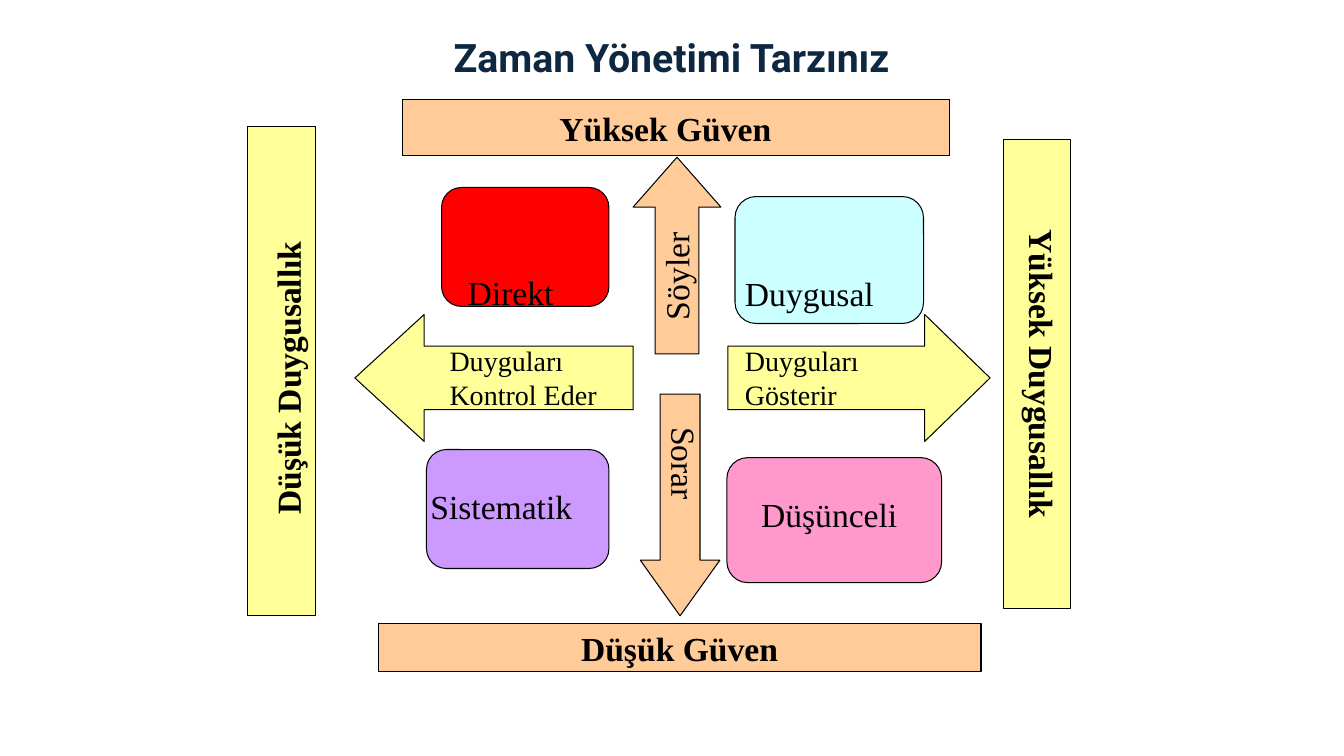
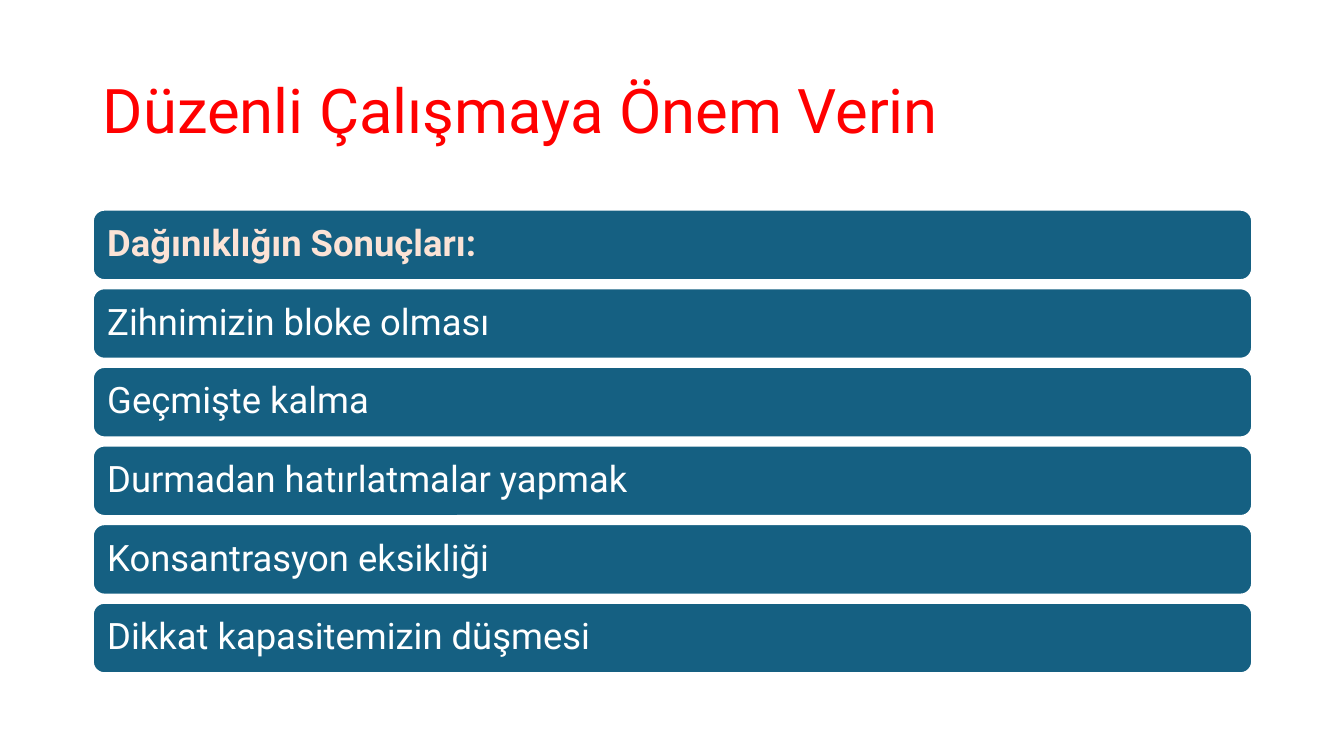
from pptx import Presentation, util as u
from pptx.dml.color import RGBColor
from pptx.enum import shapes, text

COLORS = {
    "navy": "0E2841", "red": "FF0000", "black": "000000", "white": "FFFFFF",
    "yellow": "FFFF99", "orange": "FFCC99", "aqua": "CCFFFF",
    "purple": "CC99FF", "pink": "FF99CC", "teal": "156082", "cream": "FBE3D6",
}
SANS, SERIF = "Roboto", "Times New Roman"
SHAPE, ALIGN, ANCHOR = shapes.MSO_SHAPE, text.PP_ALIGN, text.MSO_ANCHOR
INSETS = (0.1, 0.05, 0.1, 0.05)

ARROWS = [
    (SHAPE.LEFT_ARROW, (3.52, 3.12, 2.76, 1.26), "yellow", 0.546),
    (SHAPE.RIGHT_ARROW, (7.22, 3.12, 2.6, 1.26), "yellow", 0.515),
    (SHAPE.UP_ARROW, (6.28, 1.56, 0.87, 1.95), "orange", 0.568),
    (SHAPE.DOWN_ARROW, (6.35, 3.91, 0.79, 2.2), "orange", 0.699),
]
BARS = [
    ("Yüksek Güven", (3.99, 0.99, 5.43, 0.55), 0, "orange", (0.1, 0.05, 0.31, 0.05)),
    ("Düşük Güven", (3.75, 6.19, 5.98, 0.47), 0, "orange", INSETS),
    ("Düşük Duygusallık", (0.36, 3.34, 4.86, 0.68), 270, "yellow", (0.1, 0.17, 0.24, 0.05)),
    ("Yüksek Duygusallık", (7.96, 3.38, 4.65, 0.66), 90, "yellow", (0.1, 0.05, 0.1, 0.16)),
]
STYLES = [
    ((4.38, 1.86, 1.66, 1.18), "red"),
    ((7.29, 1.95, 1.87, 1.26), "aqua"),
    ((4.23, 4.46, 1.81, 1.18), "purple"),
    ((7.21, 4.54, 2.13, 1.24), "pink"),
]
LABELS = [
    ("Duyguları\vKontrol Eder", (4.36, 3.36, 1.81, 0.77), 0, 20),
    ("Duyguları\vGösterir", (7.29, 3.36, 1.81, 0.77), 0, 20),
    ("Söyler", (6.01, 2.32, 1.4, 0.51), 270, 24),
    ("Sorar", (6.24, 4.44, 1.1, 0.5), 90, 24),
    ("Direkt", (4.54, 2.65, 1.35, 0.51), 0, 24),
    ("Duygusal", (7.29, 2.66, 1.63, 0.51), 0, 24),
    ("Düşünceli", (7.45, 4.85, 1.74, 0.51), 0, 24),
    ("Sistematik", (4.17, 4.77, 1.88, 0.51), 0, 24),
]
RESULTS = [
    "Dağınıklığın Sonuçları:",
    "Zihnimizin bloke olması",
    "Geçmişte kalma",
    "Durmadan hatırlatmalar yapmak",
    "Konsantrasyon eksikliği",
    "Dikkat kapasitemizin düşmesi",
]


def rgb(name):
    return RGBColor.from_string(COLORS[name])


def box(at):
    return [u.Inches(v) for v in at]


def write(sp, words, font, size, color="black", bold=False, align=ALIGN.LEFT,
          anchor=ANCHOR.MIDDLE, insets=INSETS, spacing=1.0):
    tf = sp.text_frame
    tf.word_wrap = True
    tf.vertical_anchor = anchor
    tf.margin_left, tf.margin_top, tf.margin_right, tf.margin_bottom = box(insets)
    p = tf.paragraphs[0]
    p.alignment, p.line_spacing = align, spacing
    for i, line in enumerate(words.split("\v")):
        if i:
            p.add_line_break()
        r = p.add_run()
        r.text = line
        r.font.name, r.font.size, r.font.bold = font, u.Pt(size), bold
        r.font.color.rgb = rgb(color)


def add_shape(s, kind, at, fill, line="black", width=0.75):
    sp = s.shapes.add_shape(kind, *box(at))
    sp.shadow.inherit = False
    sp.fill.solid()
    sp.fill.fore_color.rgb = rgb(fill)
    sp.line.color.rgb = rgb(line)
    sp.line.width = u.Pt(width)
    return sp


def add_slide(prs, title, at, size, color, bold=False, align=ALIGN.LEFT):
    s = prs.slides.add_slide(prs.slide_layouts[5])
    sp = s.shapes.title
    sp.left, sp.top, sp.width, sp.height = box(at)
    write(sp, title, SANS, size, color, bold, align, spacing=0.9)
    return s


def time_style_slide(prs):
    s = add_slide(prs, "Zaman Yönetimi Tarzınız", (3.24, 0.25, 6.84, 0.69),
                  28, "navy", True, ALIGN.CENTER)
    for kind, at, fill, head in ARROWS:
        sp = add_shape(s, kind, at, fill)
        sp.adjustments[0], sp.adjustments[1] = 0.5, head
    for words, at, turn, fill, insets in BARS:
        sp = add_shape(s, SHAPE.RECTANGLE, at, fill)
        sp.rotation = turn
        write(sp, words, SERIF, 24, bold=True, align=ALIGN.CENTER, insets=insets)
    for at, fill in STYLES:
        add_shape(s, SHAPE.ROUNDED_RECTANGLE, at, fill)
    for words, at, turn, size in LABELS:
        sp = s.shapes.add_textbox(*box(at))
        sp.rotation = turn
        write(sp, words, SERIF, size, anchor=ANCHOR.TOP)


def results_slide(prs):
    s = add_slide(prs, "Düzenli Çalışmaya Önem Verin", (0.92, 0.4, 11.5, 1.45), 44, "red")
    top, height, gap = 2.08, 0.7, 0.08
    for i, words in enumerate(RESULTS):
        at = (0.92, top + i * (height + gap), 11.5, height)
        sp = add_shape(s, SHAPE.ROUNDED_RECTANGLE, at, "teal", "white", 1.5)
        heading = i == 0
        write(sp, words, SANS, 26, "cream" if heading else "white", heading,
              insets=(0.11,) * 4, spacing=0.9)


def main():
    prs = Presentation()
    prs.slide_width, prs.slide_height = u.Inches(13.33), u.Inches(7.5)
    time_style_slide(prs)
    results_slide(prs)
    prs.save("out.pptx")


if __name__ == "__main__":
    main()
